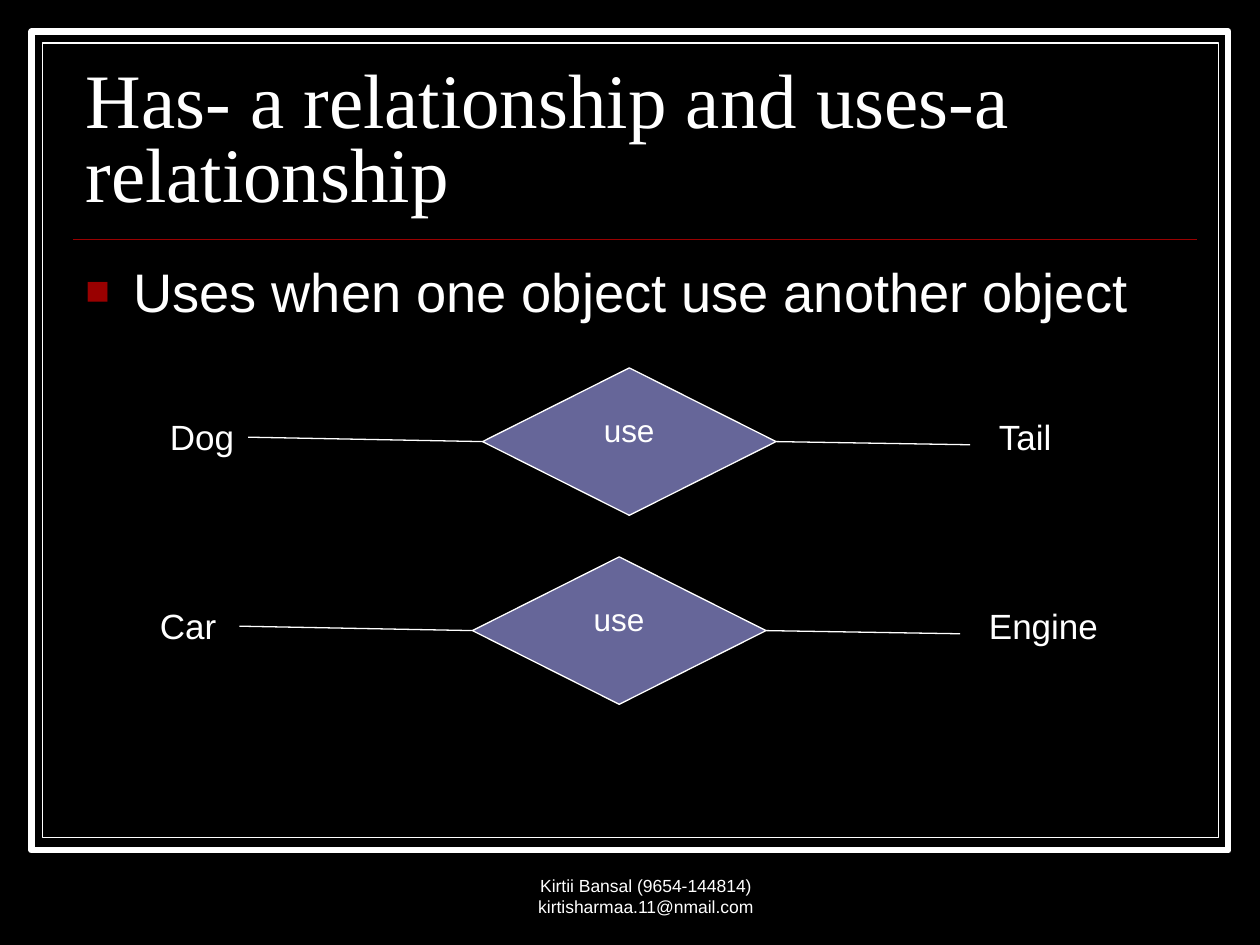
from dataclasses import dataclass

from lxml.etree import SubElement
from pptx import Presentation
from pptx.dml.color import RGBColor
from pptx.enum.shapes import MSO_CONNECTOR, MSO_SHAPE
from pptx.enum.text import MSO_ANCHOR, MSO_AUTO_SIZE, PP_ALIGN
from pptx.oxml.ns import qn
from pptx.util import Inches, Pt

# Content
TITLE = "Has- a relationship and uses-a relationship"
BULLET = "Uses when one object use another object"
FOOTER = "Kirtii Bansal (9654-144814) kirtisharmaa.11@nmail.com"
# owner, owner width, relation, part, part width
RELATIONS = [
    ("Dog", 0.72, "use", "Tail", 0.62),
    ("Car", 0.73, "use", "Engine", 1.08),
]


@dataclass(frozen=True)
class Theme:
    black: str = "000000"
    white: str = "FFFFFF"
    red: str = "990000"
    violet: str = "666699"
    serif: str = "Times New Roman"
    sans: str = "Arial"
    title: int = 44
    body: int = 31
    label: int = 20
    relation: int = 18
    footer: int = 10
    thin: float = 0.75


theme = Theme()


def color(value):
    return RGBColor.from_string(value)


def write(box, text, size, font=theme.sans, align=PP_ALIGN.LEFT, anchor=MSO_ANCHOR.TOP):
    frame = box.text_frame
    frame.text = text
    frame.word_wrap = True
    frame.vertical_anchor = anchor
    para = frame.paragraphs[0]
    para.alignment = align
    span = para.runs[0]
    span.font.name = font
    span.font.size = Pt(size)
    span.font.color.rgb = color(theme.white)
    return para


def add_box(page, left, top, width, height):
    return page.shapes.add_textbox(*map(Inches, (left, top, width, height)))


def add_shape(page, kind, place, fill, weight):
    shape = page.shapes.add_shape(kind, *map(Inches, place))
    shape.shadow.inherit = False
    shape.fill.solid()
    shape.fill.fore_color.rgb = color(fill)
    shape.line.color.rgb = color(theme.white)
    shape.line.width = Pt(weight)
    return shape


def add_line(page, start, end, line_color=theme.white, weight=theme.thin):
    line = page.shapes.add_connector(MSO_CONNECTOR.STRAIGHT, *map(Inches, start + end))
    line.line.color.rgb = color(line_color)
    line.line.width = Pt(weight)
    SubElement(line._element.spPr, qn("a:effectLst"))
    return line


def add_square_bullet(para, indent):
    properties = para._p.get_or_add_pPr()
    properties.set("marL", str(Inches(indent)))
    properties.set("indent", str(-Inches(indent)))
    bullet_color = SubElement(properties, qn("a:buClr"))
    SubElement(bullet_color, qn("a:srgbClr"), val=theme.red)
    SubElement(properties, qn("a:buSzPct"), val="75000")
    SubElement(properties, qn("a:buFont"), typeface=theme.sans)
    SubElement(properties, qn("a:buChar"), char="■")


def add_label(page, text, left, top, width):
    label = add_box(page, left, top, width, 0.44)
    write(label, text, theme.label)
    label.text_frame.word_wrap = False
    label.text_frame.auto_size = MSO_AUTO_SIZE.SHAPE_TO_FIT_TEXT
    return label


def add_relation(page, row, owner, owner_width, relation, part, part_width):
    left, top = 1.25 - 0.08 * row, 3.25 + 1.5 * row
    diamond_left, diamond_width = left + 2.58, 2.33
    diamond_right, middle = diamond_left + diamond_width, top + 0.25

    owner_label = add_label(page, owner, left, top, owner_width)
    add_label(page, part, left + 6.58, top, part_width)

    diamond = add_shape(page, MSO_SHAPE.FLOWCHART_DECISION,
                        (diamond_left, top - 0.33, diamond_width, 1.17),
                        theme.violet, theme.thin)
    write(diamond, relation, theme.relation)
    diamond.text_frame.margin_left = Inches(0.38)

    owner_line = add_line(page, (left + owner_width, top + 0.22), (diamond_left, middle))
    owner_line.begin_connect(owner_label, 3)
    owner_line.end_connect(diamond, 1)
    part_line = add_line(page, (diamond_right, middle), (diamond_right + 1.54, middle + 0.03))
    part_line.begin_connect(diamond, 3)


def main():
    deck = Presentation()
    deck.slide_width, deck.slide_height = Inches(10), Inches(7.5)
    page = deck.slides.add_slide(deck.slide_layouts[6])
    page.background.fill.solid()
    page.background.fill.fore_color.rgb = color(theme.black)

    # Double frame and title rule
    add_shape(page, MSO_SHAPE.RECTANGLE, (0.25, 0.25, 9.5, 6.5), theme.black, 3.5)
    add_shape(page, MSO_SHAPE.RECTANGLE, (0.34, 0.34, 9.33, 6.31), theme.black, theme.thin)
    add_line(page, (0.58, 1.9), (9.5, 1.9), theme.red, 1)

    # Title, bullet and footer
    title = write(add_box(page, 0.58, 0.52, 8.92, 1.25), TITLE, theme.title,
                  theme.serif, anchor=MSO_ANCHOR.BOTTOM)
    title.line_spacing = 0.8
    bullet = write(add_box(page, 0.58, 2, 8.75, 0.67), BULLET, theme.body)
    add_square_bullet(bullet, 0.38)
    write(add_box(page, 3.54, 6.83, 3.17, 0.5), FOOTER, theme.footer,
          align=PP_ALIGN.CENTER, anchor=MSO_ANCHOR.BOTTOM)

    # Relation rows
    for row, relation in enumerate(RELATIONS):
        add_relation(page, row, *relation)

    deck.save("out.pptx")


if __name__ == "__main__":
    main()
